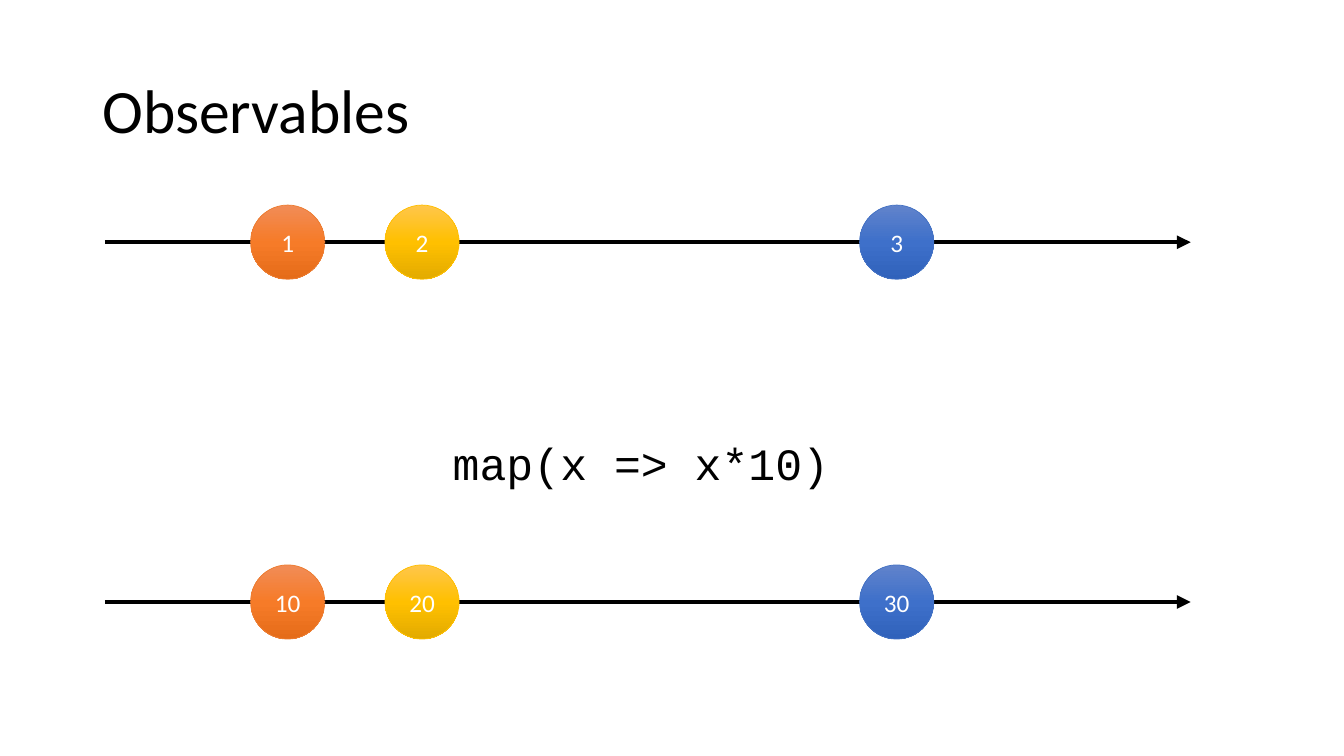
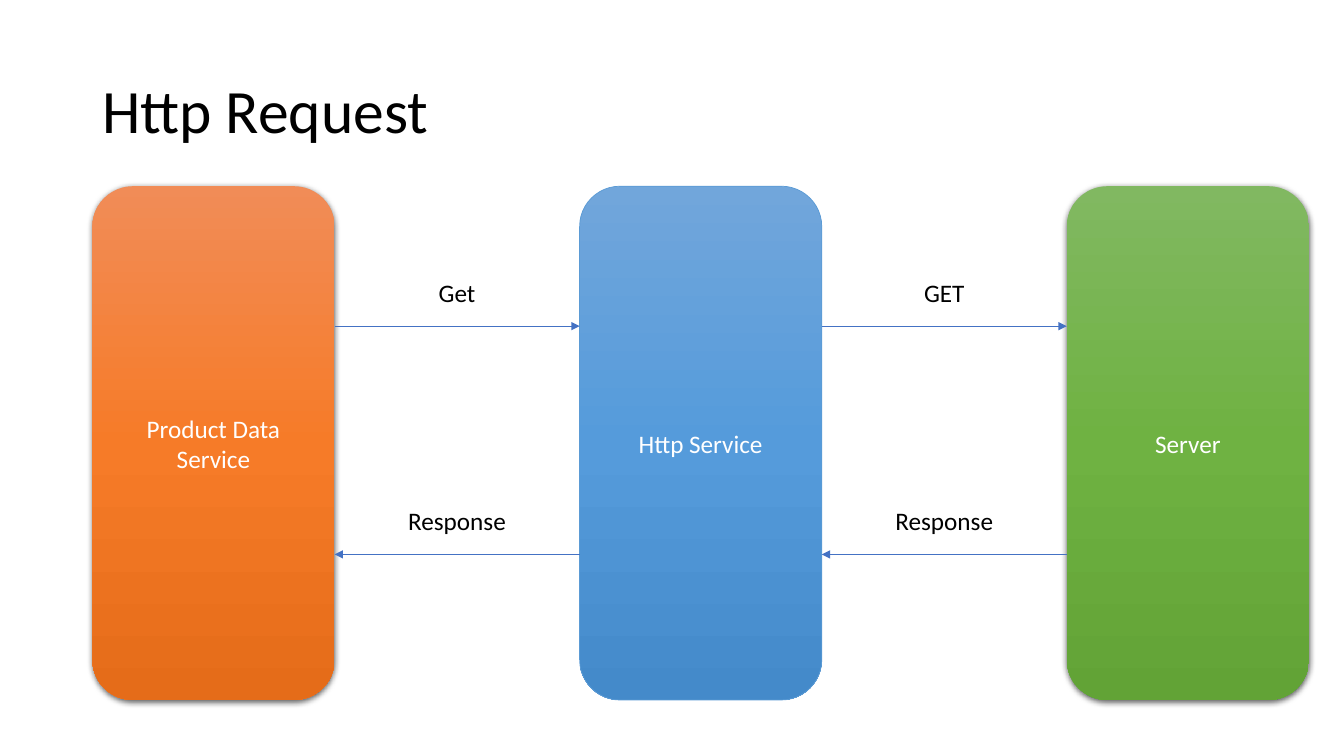
from copy import deepcopy

from lxml.etree import SubElement
from pptx import Presentation
from pptx.dml.color import RGBColor
from pptx.enum.shapes import MSO_CONNECTOR, MSO_SHAPE
from pptx.enum.text import MSO_ANCHOR, MSO_AUTO_SIZE, PP_ALIGN
from pptx.oxml.ns import qn
from pptx.util import Pt

BLACK, WHITE, ARROW_BLUE = "000000", "FFFFFF", "4472C4"
ORANGE = {"stops": ["F18C57", "F67B28", "E56C19"], "line": "ED7D31"}
YELLOW = {"stops": ["FFC64B", "FFC000", "E3AB00"], "line": "FFC000"}
ROYAL = {"stops": ["6183CB", "3E70CA", "3062BB"], "line": "4472C4"}
SKY = {"stops": ["71A6DB", "559BDB", "448ACA"], "line": "5B9BD5"}
GREEN = {"stops": ["81B861", "6FB242", "62A336"], "line": "70AD47"}


def colour(value):
    return RGBColor.from_string(value)


def write(shape, text, size=18, font="Calibri", ink=BLACK,
          align=PP_ALIGN.CENTER, anchor=MSO_ANCHOR.TOP, spacing=None):
    frame = shape.text_frame
    frame.word_wrap = True
    frame.vertical_anchor = anchor
    paragraph = frame.paragraphs[0]
    paragraph.alignment = align
    paragraph.line_spacing = spacing
    run = paragraph.add_run()
    run.text = text
    run.font.size = Pt(size)
    run.font.name = font
    run.font.color.rgb = colour(ink)


def add_label(slide, text, left, top, width, height, **text_format):
    label = slide.shapes.add_textbox(Pt(left), Pt(top), Pt(width), Pt(height))
    label.text_frame.auto_size = MSO_AUTO_SIZE.SHAPE_TO_FIT_TEXT
    write(label, text, **text_format)


def add_title(slide, text):
    title = slide.shapes.add_textbox(Pt(66), Pt(29), Pt(828), Pt(104))
    write(title, text, size=44, align=PP_ALIGN.LEFT,
          anchor=MSO_ANCHOR.MIDDLE, spacing=0.9)


def add_arrow(shapes, start, end, y, ink, weight):
    arrow = shapes.add_connector(
        MSO_CONNECTOR.STRAIGHT, Pt(start), Pt(y), Pt(end), Pt(y))
    arrow.line.color.rgb = colour(ink)
    arrow.line.width = Pt(weight)
    properties = arrow._element.spPr
    SubElement(properties.find(qn("a:ln")), qn("a:tailEnd"), type="triangle")
    SubElement(properties, qn("a:effectLst"))


def add_shadow(shape):
    effects = shape._element.spPr.find(qn("a:effectLst"))
    shadow = SubElement(
        effects, qn("a:outerShdw"), blurRad=str(Pt(4.5)), dist=str(Pt(1.5)),
        dir="5400000", algn="ctr", rotWithShape="0")
    ink = SubElement(shadow, qn("a:srgbClr"), val=BLACK)
    SubElement(ink, qn("a:alpha"), val="63000")


def add_gradient_shape(shapes, kind, text, palette, left, top, width, height,
                       raised=False):
    shape = shapes.add_shape(kind, Pt(left), Pt(top), Pt(width), Pt(height))
    shape.shadow.inherit = False
    shape.fill.gradient()
    shape.fill.gradient_angle = 270
    stop_list = shape._element.spPr.find(".//" + qn("a:gsLst"))
    stop_list.append(deepcopy(stop_list[0]))
    for index, stop in enumerate(shape.fill.gradient_stops):
        stop.position = index / 2
        stop.color.rgb = colour(palette["stops"][index])
    if raised:
        shape.line.fill.background()
        add_shadow(shape)
    else:
        shape.line.color.rgb = colour(palette["line"])
        shape.line.width = Pt(0.5)
    write(shape, text, ink=WHITE, anchor=MSO_ANCHOR.MIDDLE)


def add_timeline(slide, left, middle, width, values):
    diameter = 53
    marbles = zip(values, (ORANGE, YELLOW, ROYAL), (130.5, 226.5, 565.5))
    shapes = slide.shapes.add_group_shape().shapes
    add_arrow(shapes, left, left + width, middle, BLACK, 3.25)
    for value, palette, offset in marbles:
        add_gradient_shape(
            shapes, MSO_SHAPE.OVAL, value, palette,
            left + offset - diameter / 2, middle - diameter / 2,
            diameter, diameter)


def add_exchange(slide, left, top, width, height, messages):
    rows = ((100, left, left + width), (263, left + width, left))
    for text, (offset, start, end) in zip(messages, rows):
        y = top + offset
        add_arrow(slide.shapes, start, end, y, ARROW_BLUE, 0.5)
        add_label(slide, text, left, y - 38.5, width, 29)


def add_service_flow(slide, left, top, width, height, services, exchanges):
    box_width = 173
    gap = (width - box_width * len(services)) / (len(services) - 1)
    step = box_width + gap
    for index, (text, palette, raised) in enumerate(services):
        add_gradient_shape(
            slide.shapes, MSO_SHAPE.ROUNDED_RECTANGLE, text, palette,
            left + index * step, top, box_width, height, raised)
    for index, messages in enumerate(exchanges):
        add_exchange(slide, left + index * step + box_width, top, gap, height,
                     messages)


def build_observables(slide):
    add_title(slide, "Observables")
    add_timeline(slide, 75, 173, 775.5, ("1", "2", "3"))
    add_timeline(slide, 75, 430, 775.5, ("10", "20", "30"))
    add_label(slide, "map(x => x*10)", 66, 308, 784, 46,
              size=32, font="Courier New")


def build_http_request(slide):
    add_title(slide, "Http Request")
    services = (("Product Data Service", ORANGE, True),
                ("Http Service", SKY, False),
                ("Server", GREEN, True))
    exchanges = (("Get", "Response"), ("GET", "Response"))
    add_service_flow(slide, 66, 133, 869, 367, services, exchanges)


def main():
    presentation = Presentation()
    presentation.slide_width = Pt(960)
    presentation.slide_height = Pt(540)
    blank = presentation.slide_layouts[6]
    for build in (build_observables, build_http_request):
        build(presentation.slides.add_slide(blank))
    presentation.save("out.pptx")


if __name__ == "__main__":
    main()
